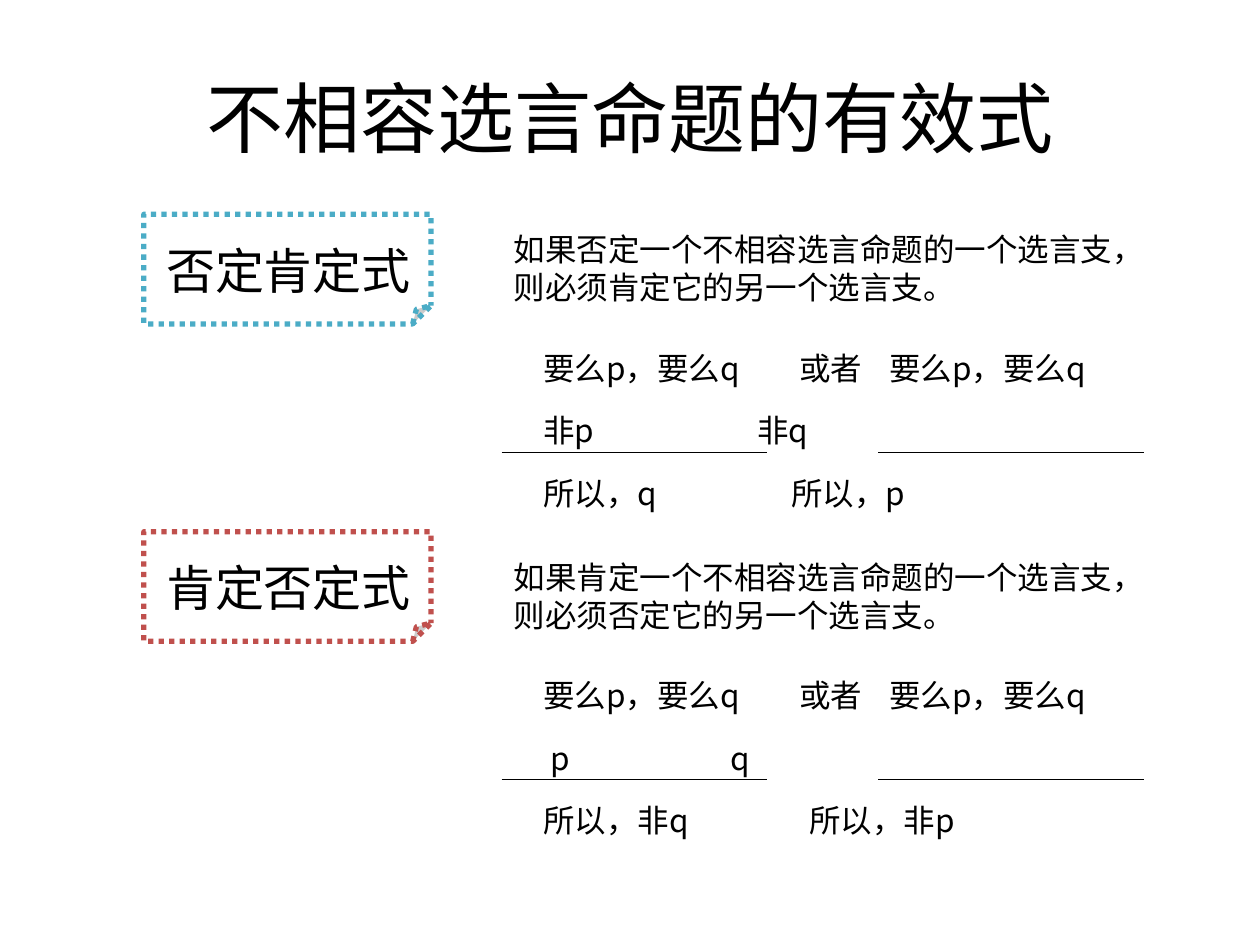
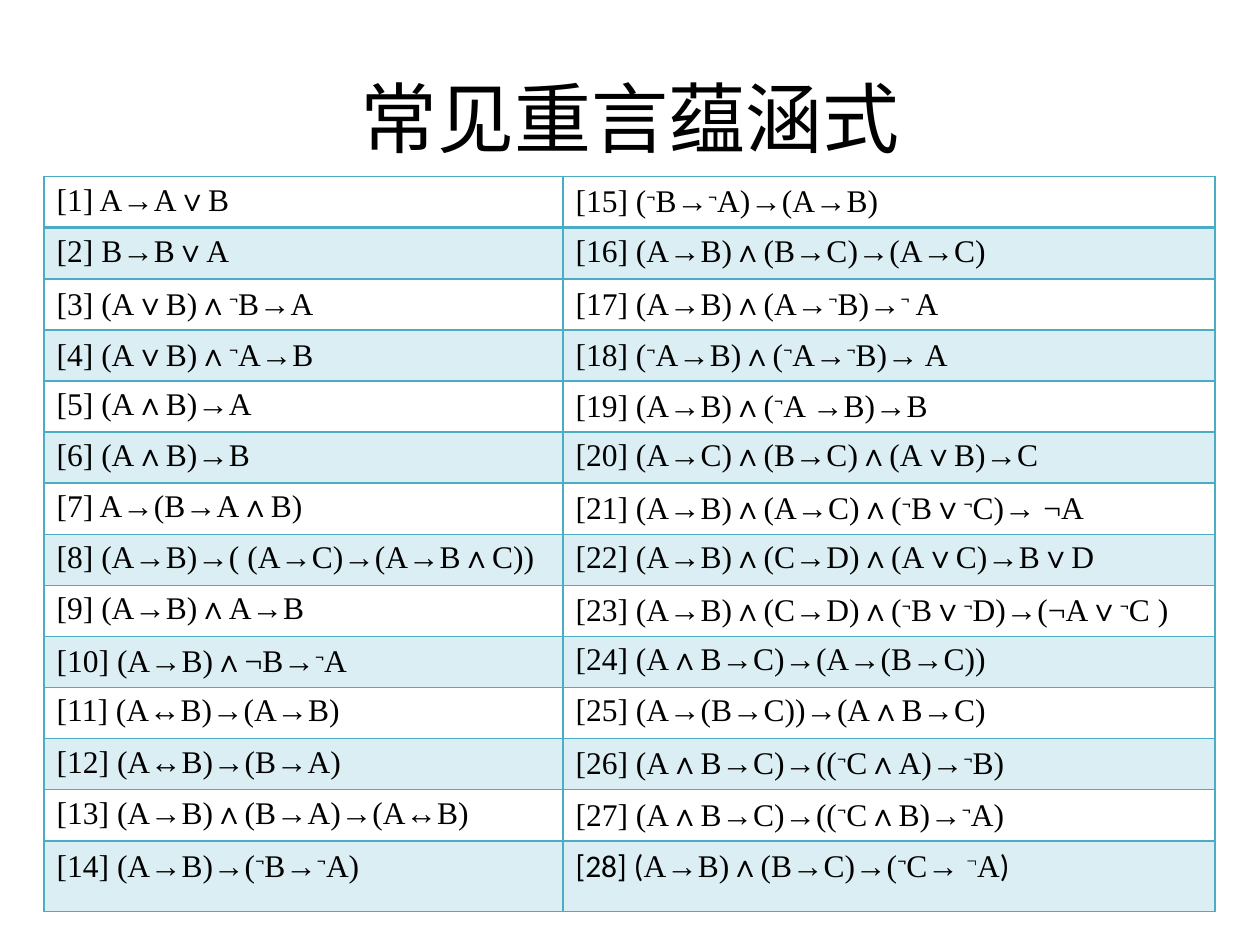
from lxml import etree
from pptx import Presentation
from pptx import util as u
from pptx.dml.color import RGBColor
from pptx.enum import dml, shapes, text
from pptx.oxml.ns import qn

COLORS = {"ink": "000000", "paper": "FFFFFF", "teal": "4BACC6", "red": "C0504D"}
CJK, TITLE_FONT = "Noto Sans CJK SC", "Noto Sans CJK JP"
SERIF, SANS = "Times New Roman", "Calibri"

# Argument forms: (name, colour, rule, forms); a tab separates the columns
PREMISE = "要么p，要么q\t或者\t要么p，要么q"
MODES = [
    ("否定肯定式", "teal", "如果否定一个不相容选言命题的一个选言支，则必须肯定它的另一个选言支。",
     [(PREMISE, (5.16, 6.98)), ("非p\t非q", (4.32,)), ("所以，q\t所以，p", (5.0,))]),
    ("肯定否定式", "red", "如果肯定一个不相容选言命题的一个选言支，则必须否定它的另一个选言支。",
     [(PREMISE, (5.16, 6.98)), (" p\tq", (3.78,)), ("所以，非q\t所以，非p", (5.36,))]),
]

# Implications by column; ^ raises the sign after it
IMPLICATIONS = [
    ["A→A∨B", "B→B∨A", "(A∨B)∧^¬B→A", "(A∨B)∧^¬A→B", "(A∧B)→A", "(A∧B)→B",
     "A→(B→A∧B)", "(A→B)→( (A→C)→(A→B∧C))", "(A→B)∧A→B", "(A→B)∧¬B→^¬A",
     "(A↔B)→(A→B)", "(A↔B)→(B→A)", "(A→B)∧(B→A)→(A↔B)", "(A→B)→(^¬B→^¬A)"],
    ["(^¬B→^¬A)→(A→B)", "(A→B)∧(B→C)→(A→C)", "(A→B)∧(A→^¬B)→^¬ A",
     "(^¬A→B)∧(^¬A→^¬B)→ A", "(A→B)∧(^¬A →B)→B", "(A→C)∧(B→C)∧(A∨B)→C",
     "(A→B)∧(A→C)∧(^¬B∨^¬C)→ ¬A", "(A→B)∧(C→D)∧(A∨C)→B∨D",
     "(A→B)∧(C→D)∧(^¬B∨^¬D)→(¬A∨^¬C )", "(A∧B→C)→(A→(B→C))",
     "(A→(B→C))→(A∧B→C)", "(A∧B→C)→((^¬C∧A)→^¬B)", "(A∧B→C)→((^¬C∧B)→^¬A)"],
]
LAST_RUNS = [("[28] (", SANS, False), ("A→B)∧(B→C)→(", SERIF, False), ("¬", SANS, True),
             ("C→ ", SERIF, False), ("¬", SERIF, True), ("A", SERIF, False), (")", SANS, False)]


def rgb(name):
    return RGBColor.from_string(COLORS[name])


def write(paragraph, words, font=CJK, size=18, raised=False):
    """Add one formatted run to a paragraph."""
    run = paragraph.add_run()
    run.text = words
    run.font.name, run.font.size, run.font.bold = font, u.Pt(size), False
    run.font.color.rgb = rgb("ink")
    props = run._r.get_or_add_rPr()
    if raised:
        props.set("baseline", "30000")
    etree.SubElement(props, qn("a:ea")).set("typeface", font)


def formula_runs(number, formula):
    head, *tails = f"[{number}] {formula}".split("^")
    runs = [(head, SERIF, False)]
    for tail in tails:
        runs += [(tail[0], SANS, True), (tail[1:], SERIF, False)]
    return runs


class Deck:
    def __init__(self):
        self.prs = Presentation()
        self.prs.slide_width, self.prs.slide_height = u.Cm(25.4), u.Cm(19.05)
        self.slide = None

    def titled_slide(self, words):
        self.slide = self.prs.slides.add_slide(self.prs.slide_layouts[5])
        title = self.slide.shapes.title
        title.left, title.top, title.width, title.height = map(u.Cm, (1.27, 0.76, 22.86, 3.18))
        title.text_frame.vertical_anchor = text.MSO_ANCHOR.MIDDLE
        paragraph = title.text_frame.paragraphs[0]
        paragraph.alignment = text.PP_ALIGN.CENTER
        write(paragraph, words, font=TITLE_FONT, size=44)

    def textbox(self, *box):
        frame = self.slide.shapes.add_textbox(*map(u.Cm, box)).text_frame
        frame.word_wrap = True
        frame.auto_size = text.MSO_AUTO_SIZE.SHAPE_TO_FIT_TEXT
        return frame

    def label(self, words, *box, size=18):
        write(self.textbox(*box).paragraphs[0], words, size=size)

    def note(self, color, *box):
        note = self.slide.shapes.add_shape(shapes.MSO_SHAPE.FOLDED_CORNER, *map(u.Cm, box))
        note.shadow.inherit = False
        note.fill.solid()
        note.fill.fore_color.rgb = rgb("paper")
        note.line.color.rgb, note.line.width = rgb(color), u.Pt(3)
        note.line.dash_style = dml.MSO_LINE.ROUND_DOT

    def forms(self, lines, *box):
        frame = self.textbox(*box)
        frame.margin_left = u.Cm(3.25)
        for i, (words, stops) in enumerate(lines):
            paragraph = frame.add_paragraph() if i else frame.paragraphs[0]
            tabs = etree.SubElement(paragraph._p.get_or_add_pPr(), qn("a:tabLst"))
            for stop in stops:
                etree.SubElement(tabs, qn("a:tab"), pos=str(u.Cm(stop)), algn="l")
            paragraph.line_spacing = 1.5
            if i:
                paragraph.space_before = u.Pt(3.2)
            write(paragraph, words)

    def rule(self, left, right, y):
        line = self.slide.shapes.add_connector(
            shapes.MSO_CONNECTOR.STRAIGHT, *map(u.Cm, (left, y, right, y)))
        line.line.color.rgb, line.line.width = rgb("ink"), u.Pt(0.75)
        etree.SubElement(line._element.spPr, qn("a:effectLst"))

    def cell(self, cell, runs, widths, shaded):
        for run_text, font, raised in runs:
            write(cell.text_frame.paragraphs[0], run_text, font=font, raised=raised)
        props = cell._tc.get_or_add_tcPr()
        for side, width in zip("LRTB", widths):
            border = etree.SubElement(props, qn(f"a:ln{side}"), w=str(u.Pt(width)))
            fill = etree.SubElement(border, qn("a:solidFill"))
            etree.SubElement(fill, qn("a:srgbClr"), val=COLORS["teal"])
        if shaded:
            cell.fill.solid()
            cell.fill.fore_color.rgb = rgb("teal")
            tint = props.find(qn("a:solidFill")).find(qn("a:srgbClr"))
            etree.SubElement(tint, qn("a:alpha"), val="20000")
        else:
            cell.fill.background()

    def table(self, columns, col_widths, row_heights, left, top):
        box = map(u.Cm, (left, top, sum(col_widths), sum(row_heights)))
        table = self.slide.shapes.add_table(len(row_heights), len(columns), *box).table
        table.first_row = table.horz_banding = False
        for column, width in zip(table.columns, col_widths):
            column.width = u.Cm(width)
        for row, height in zip(table.rows, row_heights):
            row.height = u.Cm(height)
        for c, column in enumerate(columns):
            for r, runs in enumerate(column):
                widths = (1, 1, 2 if r == 1 else 1, 2 if r == 0 else 1)
                self.cell(table.cell(r, c), runs, widths, shaded=r % 2 == 1)


def main():
    deck = Deck()

    # Valid forms of exclusive disjunction
    deck.titled_slide("不相容选言命题的有效式")
    for i, (name, color, principle, lines) in enumerate(MODES):
        note_top, rule_shift = 4.32 + 6.4 * i, 6.6 * i
        deck.note(color, 2.9, note_top, 5.79, 2.21)
        deck.label(name, 3.1, note_top + 0.4, 5.59, 1.45, size=28)
        deck.label(principle, 10.11, 4.52 + rule_shift, 13.21, 1.8)
        deck.forms(lines, 7.7, 6.53 + rule_shift, 18.59, 4.7)
        for left in (10.11, 17.7):
            deck.rule(left, left + 5.36, 9.12 + rule_shift)

    # Common tautological implications
    deck.titled_slide("常见重言蕴涵式")
    columns = [[formula_runs(n, f) for n, f in enumerate(formulas, first)]
               for first, formulas in zip((1, 15), IMPLICATIONS)]
    columns[1].append(LAST_RUNS)
    deck.table(columns, (10.46, 13.14), [1.03] * 13 + [1.42], 0.89, 3.56)

    deck.prs.save("out.pptx")


if __name__ == "__main__":
    main()
